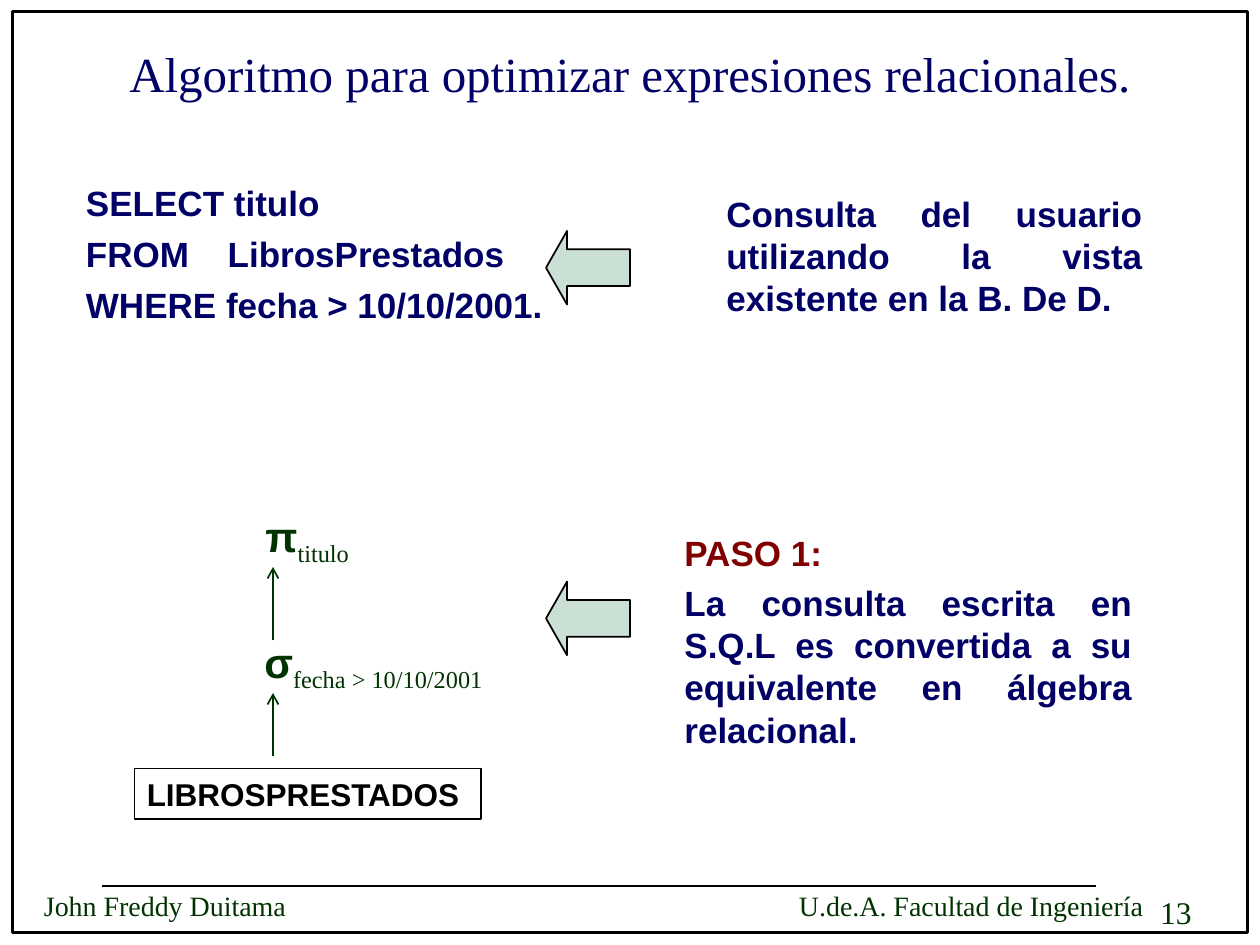
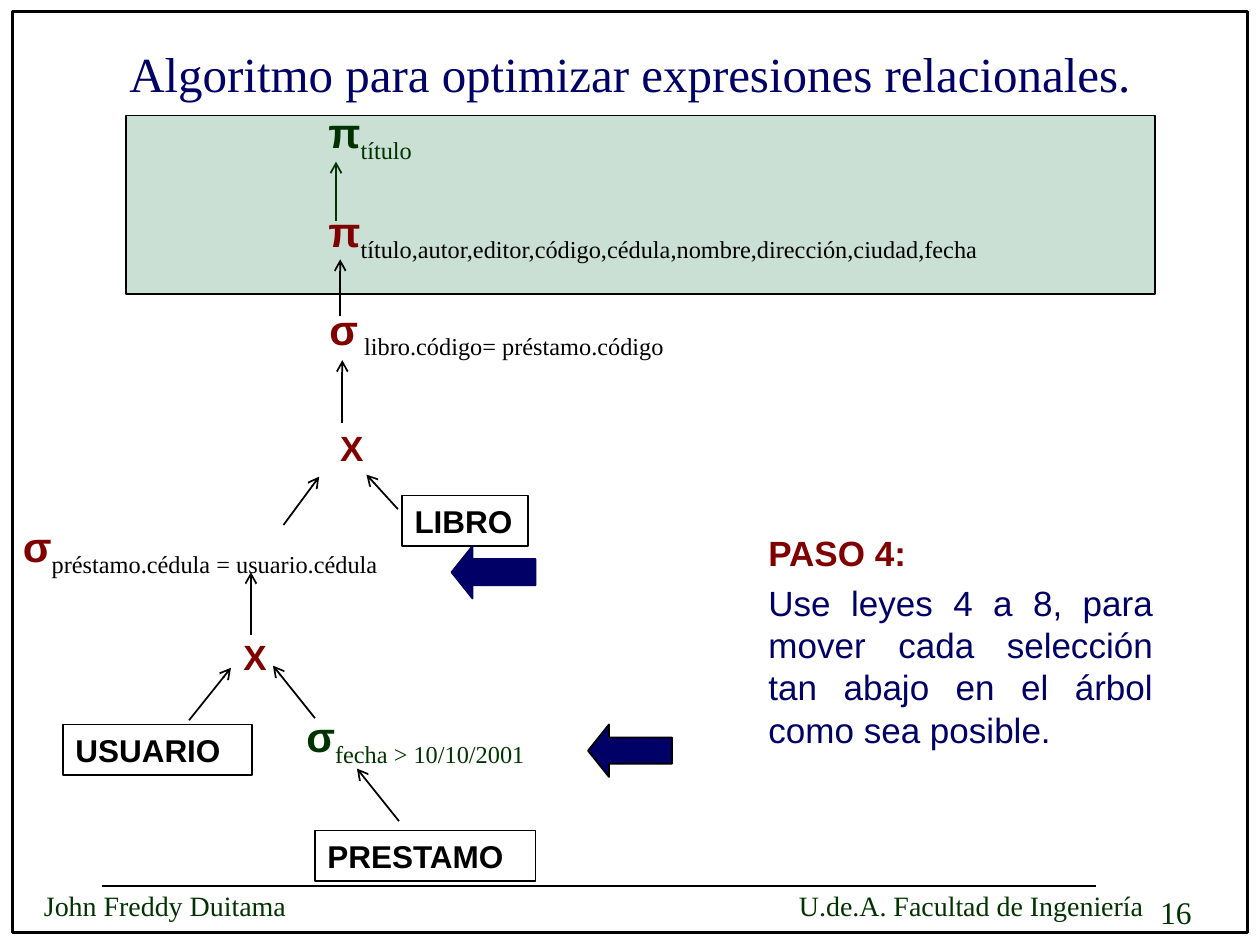
from lxml import etree
from pptx import Presentation
from pptx.dml.color import RGBColor
from pptx.enum.shapes import MSO_CONNECTOR, MSO_SHAPE
from pptx.enum.text import MSO_ANCHOR, MSO_AUTO_SIZE, PP_ALIGN
from pptx.oxml.ns import qn
from pptx.util import Inches, Pt

LEFT, CENTER, JUSTIFY = PP_ALIGN.LEFT, PP_ALIGN.CENTER, PP_ALIGN.JUSTIFY
TOP, MIDDLE = MSO_ANCHOR.TOP, MSO_ANCHOR.MIDDLE
RECTANGLE, LEFT_ARROW = MSO_SHAPE.RECTANGLE, MSO_SHAPE.LEFT_ARROW
STRAIGHT = MSO_CONNECTOR.STRAIGHT
NO_AUTOFIT = MSO_AUTO_SIZE.NONE

BLACK = RGBColor(0x00, 0x00, 0x00)
NAVY = RGBColor(0x00, 0x00, 0x66)
GREEN = RGBColor(0x00, 0x33, 0x00)
MAROON = RGBColor(0x80, 0x00, 0x00)
MINT = RGBColor(0xCA, 0xE0, 0xD4)
SANS, SERIF = "Arial", "Times New Roman"

WIDTH, HEIGHT = Inches(10), Inches(7.5)
COLUMNS, ROWS = 120, 90
TITLE = "Algoritmo para optimizar expresiones relacionales."
AUTHOR, FACULTY = "John Freddy Duitama", "U.de.A. Facultad de Ingeniería"


def across(columns):
    return round(WIDTH * columns / COLUMNS)


def down(rows):
    return round(HEIGHT * rows / ROWS)


def place(area):
    left, top, width, height = area
    return across(left), down(top), across(width), down(height)


def add_span(para, text, size, color, font=SANS, bold=False, subscript=False):
    span = para.add_run()
    span.text = text
    span.font.name = font
    span.font.size = Pt(size)
    span.font.bold = bold
    span.font.color.rgb = color
    if subscript:
        span.font._element.set("baseline", "-25000")


def prepare_frame(frame, anchor=TOP):
    frame.word_wrap = True
    frame.auto_size = NO_AUTOFIT
    frame.vertical_anchor = anchor


def format_para(para, align, before=0):
    para.alignment = align
    para.space_before = Pt(before)


def add_tab_stop(para, position, align):
    properties = para._p.get_or_add_pPr()
    stops = etree.SubElement(properties, qn("a:tabLst"))
    etree.SubElement(stops, qn("a:tab"), pos=str(across(position)), algn=align)


def add_text_box(page, area, lines, align=JUSTIFY, before=5):
    frame = page.shapes.add_textbox(*place(area)).text_frame
    prepare_frame(frame)
    for index, spans in enumerate(lines):
        para = frame.add_paragraph() if index else frame.paragraphs[0]
        format_para(para, align, before)
        for span in spans:
            add_span(para, **span)
    return frame


def words(text, color=NAVY, bold=True, size=20, font=SANS):
    return dict(text=text, size=size, color=color, font=font, bold=bold)


def add_figure(page, kind, area, fill=None, line=BLACK, weight=1):
    box = page.shapes.add_shape(kind, *place(area))
    box.shadow.inherit = False
    if fill is None:
        box.fill.background()
    else:
        box.fill.solid()
        box.fill.fore_color.rgb = fill
    box.line.color.rgb = line
    box.line.width = Pt(weight)
    return box


def add_relation(page, name, left, top, width):
    box = add_figure(page, RECTANGLE, (left, top, width, 4.8))
    prepare_frame(box.text_frame)
    para = box.text_frame.paragraphs[0]
    format_para(para, JUSTIFY, 4.5)
    add_span(para, name, 18, BLACK, bold=True)


def add_operator(page, symbol, condition, left, top, color=GREEN, detail=GREEN, width=77):
    spans = [words(symbol, color, size=24),
             dict(text=condition, size=24, color=detail, font=SERIF, subscript=True)]
    add_text_box(page, (left, top, width, 6.7), [spans], before=6)


def add_product(page, area, align):
    add_text_box(page, area, [[words("X", MAROON)]], align)


def add_line(page, start, end, color=BLACK, arrow=False):
    line = page.shapes.add_connector(
        STRAIGHT, across(start[0]), down(start[1]), across(end[0]), down(end[1]))
    line.line.color.rgb = color
    line.line.width = Pt(1)
    if arrow:
        etree.SubElement(line.line._get_or_add_ln(), qn("a:tailEnd"), type="arrow")
    etree.SubElement(line._element.spPr, qn("a:effectLst"))


def add_pointer(page, left, top, height, head, fill, line=BLACK):
    pointer = add_figure(page, LEFT_ARROW, (left, top, 8, height), fill, line)
    pointer.adjustments[0] = 0.5
    pointer.adjustments[1] = head


def add_step(page, left, width, heading, explanation, bold):
    add_text_box(page, (left, 50, width, 22),
                 [[words(heading, MAROON)], [words(explanation, bold=bold)]])


def add_page(deck, number):
    page = deck.slides.add_slide(deck.slide_layouts[5])
    title = page.shapes.title
    title.left, title.top, title.width, title.height = place((9, 3.4, 102, 7))
    prepare_frame(title.text_frame, MIDDLE)
    para = title.text_frame.paragraphs[0]
    format_para(para, CENTER)
    add_span(para, TITLE, 28, NAVY, SERIF)

    add_figure(page, RECTANGLE, (1.2, 1.1, 117.6, 87.7), weight=2)
    add_line(page, (9.7, 84.4), (104.4, 84.4))
    add_text_box(page, (109.3, 84.5, 9.2, 4.8),
                 [[words(number, GREEN, False, 18, SERIF)]], LEFT, 0)
    footer = add_text_box(page, (3, 84, 111, 4.5),
                          [[words(f"{AUTHOR}\t{FACULTY}", GREEN, False, 16, SERIF)]], LEFT, 0)
    add_tab_stop(footer.paragraphs[0], 104.7, "r")
    return page


def build_first_step(deck):
    page = add_page(deck, "13")
    query = add_text_box(page, (7, 16.7, 51, 24.6), [
        [words("SELECT titulo")],
        [words("FROM\tLibrosPrestados")],
        [words("WHERE fecha > 10/10/2001.")]], LEFT)
    add_tab_stop(query.paragraphs[1], 13.5, "l")
    add_text_box(page, (68, 17.7, 42, 13.2), [[words(
        "Consulta del usuario utilizando la vista existente en la B. De D.")]])

    add_relation(page, "LIBROSPRESTADOS", 12.8, 73.2, 33)
    add_operator(page, "π", "titulo", 24.1, 48)
    add_operator(page, "σ", "fecha > 10/10/2001", 24, 60)
    for start, end in ((61, 54), (72, 66)):
        add_line(page, (26, start), (26, end), GREEN, arrow=True)

    add_step(page, 64, 45, "PASO 1:",
             "La consulta escrita en S.Q.L es convertida a su equivalente en álgebra relacional.",
             True)
    for top in (22, 55.4):
        add_pointer(page, 52, top, 7, 0.286, MINT)


def build_fourth_step(deck):
    page = add_page(deck, "16")
    add_figure(page, RECTANGLE, (12, 11, 98, 17), MINT)

    add_operator(page, "π", "título", 30.1, 9.6)
    for symbol, condition, left, top, width in (
            ("π", "título,autor,editor,código,cédula,nombre,dirección,ciudad,fecha", 30.1, 19, 77),
            ("σ", " libro.código= préstamo.código", 30.2, 28.3, 77),
            ("σ", "préstamo.cédula = usuario.cédula", 1, 49, 44)):
        add_operator(page, symbol, condition, left, top, MAROON, BLACK, width)
    add_operator(page, "σ", "fecha > 10/10/2001", 28, 67.1)
    add_product(page, (29, 40, 9, 5.3), CENTER)
    add_product(page, (22, 59.9, 6, 5.3), JUSTIFY)

    for name, left, top, width in (("LIBRO", 38.3, 47.2, 12),
                                   ("USUARIO", 6, 69, 18),
                                   ("PRESTAMO", 30, 79.1, 21)):
        add_relation(page, name, left, top, width)

    add_line(page, (32, 21), (32, 15.4), GREEN, arrow=True)
    for start, end in (((32.4, 30.1), (32.4, 24.7)),
                       ((32.6, 40.3), (32.6, 34.3)),
                       ((27, 50), (30.4, 45.4)),
                       ((37.9, 48.5), (34.9, 45.2)),
                       ((23.9, 60.5), (23.9, 54.5)),
                       ((18, 68.6), (22, 63.6)),
                       ((30, 68.4), (26, 63.4)),
                       ((38, 78.2), (34, 73.2))):
        add_line(page, start, end, arrow=True)

    add_step(page, 72, 39, "PASO 4:",
             "Use leyes 4 a 8, para mover cada selección tan abajo en el árbol como sea posible.",
             False)
    add_pointer(page, 56, 69, 5, 0.4, NAVY)
    add_pointer(page, 43, 52, 5, 0.4, NAVY, NAVY)


def main():
    deck = Presentation()
    deck.slide_width, deck.slide_height = WIDTH, HEIGHT
    build_first_step(deck)
    build_fourth_step(deck)
    deck.save("out.pptx")


if __name__ == "__main__":
    main()
